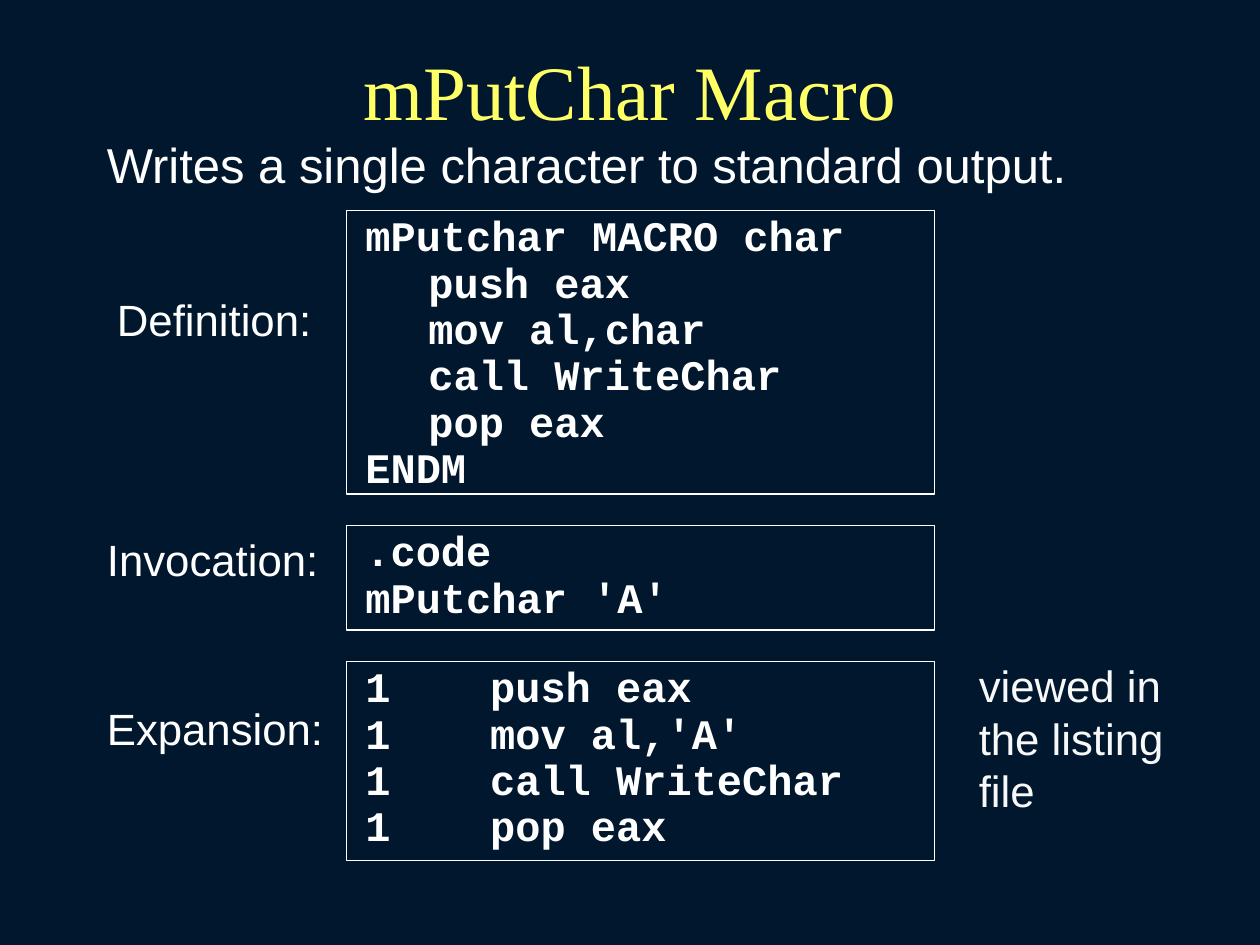
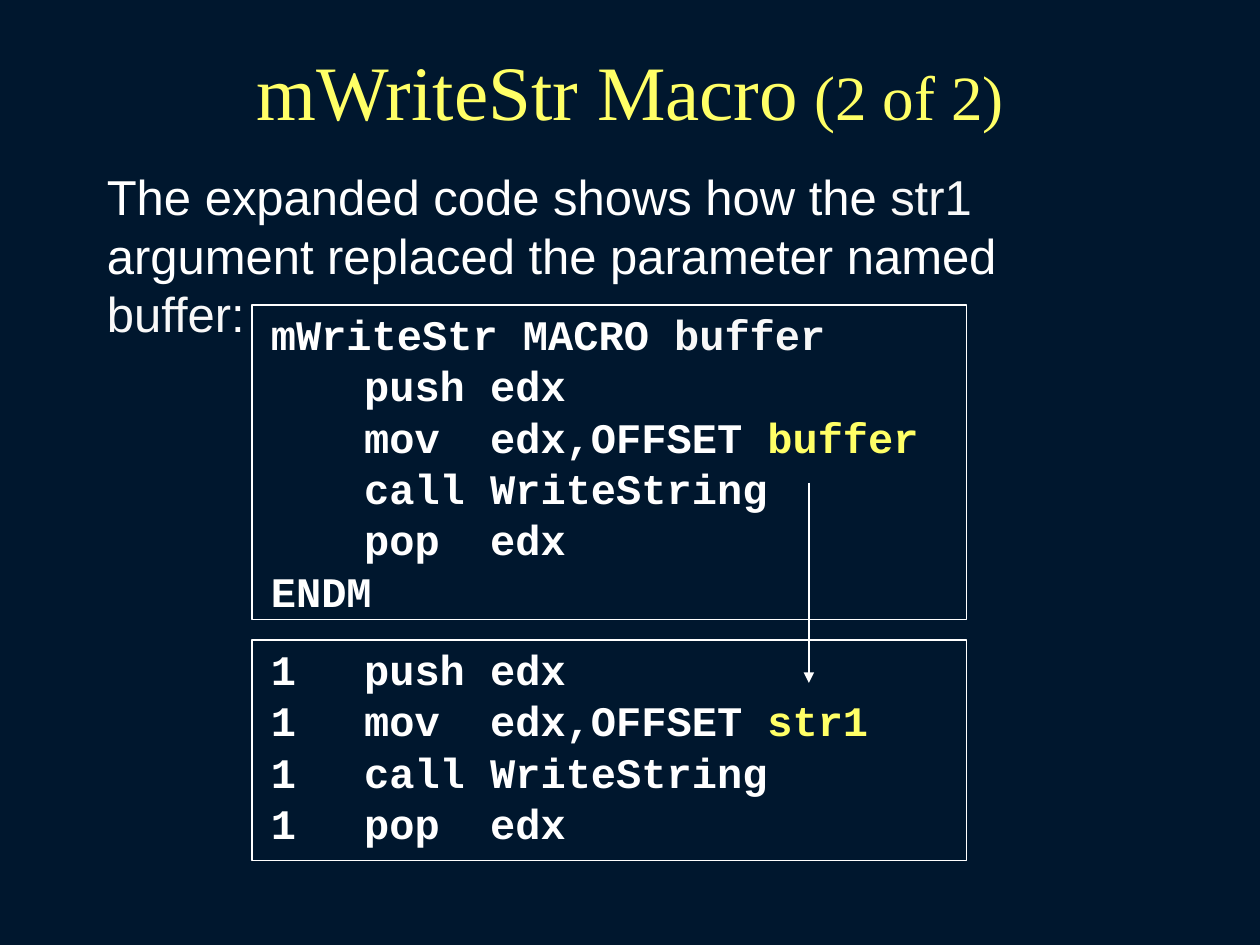
from lxml import etree
from pptx import Presentation
from pptx.dml.color import RGBColor
from pptx.enum.shapes import MSO_CONNECTOR, MSO_SHAPE
from pptx.enum.text import MSO_ANCHOR, PP_ALIGN
from pptx.oxml.ns import qn
from pptx.util import Inches, Pt

NAVY, WHITE, PALE, YELLOW = "00172E", "FFFFFF", "F8F8F8", "FFFF66"


def color(text):
    return RGBColor.from_string(text)


class Deck:
    """Holds the shared style and the slide being filled."""

    def __init__(self):
        self.prs = Presentation()
        self.prs.slide_width, self.prs.slide_height = Inches(10), Inches(7.5)
        self.slide = None

    def start(self, *title):
        self.slide = self.prs.slides.add_slide(self.prs.slide_layouts[6])
        fill = self.slide.background.fill
        fill.solid()
        fill.fore_color.rgb = color(NAVY)
        frame = self.box(0.5, 0.25, 9, 0.92, 0.05)
        frame.vertical_anchor = MSO_ANCHOR.MIDDLE
        para = frame.paragraphs[0]
        para.alignment = PP_ALIGN.CENTER
        self.put(para, title, "Times New Roman", 44, YELLOW)
        return para

    def box(self, x, y, w, h, pad):
        shape = self.slide.shapes.add_textbox(*map(Inches, (x, y, w, h)))
        return self.inset(shape.text_frame, 0.1, pad)

    def inset(self, frame, side, pad):
        frame.word_wrap = True
        frame.margin_left = frame.margin_right = Inches(side)
        frame.margin_top = frame.margin_bottom = Inches(pad)
        return frame

    def put(self, para, parts, face, size, tint, bold=False):
        """Fill a paragraph; a part is a string or a (string, colour) pair."""
        font = para.font
        font.name, font.size, font.bold = face, Pt(size), bold
        font.color.rgb = color(tint)
        for part in parts:
            text, shade = (part, None) if isinstance(part, str) else part
            run = para.add_run()
            run.text = text
            if shade:
                run.font.color.rgb = color(shade)

    def text(self, x, y, w, h, *parts, size=25, tint=WHITE):
        frame = self.box(x, y, w, h, 0.15)
        self.put(frame.paragraphs[0], parts, "Arial", size, tint)

    def code(self, x, y, w, h, lines, tab, pitch):
        """Draw a framed listing; each line is a list of parts."""
        shape = self.slide.shapes.add_shape(
            MSO_SHAPE.RECTANGLE, *map(Inches, (x, y, w, h)))
        shape.shadow.inherit = False
        shape.fill.background()
        shape.line.color.rgb = color(WHITE)
        shape.line.width = Pt(0.75)
        frame = self.inset(shape.text_frame, 0.15, 0.2)
        frame.vertical_anchor = MSO_ANCHOR.TOP
        for i, parts in enumerate(lines):
            para = frame.add_paragraph() if i else frame.paragraphs[0]
            stops = etree.SubElement(para._p.get_or_add_pPr(), qn("a:tabLst"))
            etree.SubElement(stops, qn("a:tab"), pos=str(Inches(tab)), algn="l")
            para.alignment = PP_ALIGN.LEFT
            para.line_spacing = pitch
            para.space_before = Pt(15 if i else 0)
            self.put(para, parts, "Courier New", 24, WHITE, True)

    def arrow(self, x, top, end):
        line = self.slide.shapes.add_connector(
            MSO_CONNECTOR.STRAIGHT, *map(Inches, (x, top, x, end)))
        line.line.color.rgb = color(WHITE)
        line.line.width = Pt(0.75)
        props = line._element.spPr
        etree.SubElement(props.find(qn("a:ln")), qn("a:tailEnd"), type="triangle")
        etree.SubElement(props, qn("a:effectLst"))


def char_slide(deck):
    deck.start("mPutChar Macro")
    deck.text(0.75, 0.92, 8.42, 0.77,
              "Writes a single character to standard output.", size=28)
    define = ["mPutchar MACRO char", "\tpush eax", "\tmov al,char",
              "\tcall WriteChar", "\tpop eax", "ENDM"]
    invoke = [".code", "mPutchar 'A'"]
    expand = ["1\tpush eax", "1\tmov al,'A'", "1\tcall WriteChar", "1\tpop eax"]
    for label, x, y, top, high, lines, tab in (
            ("Definition:", 0.83, 2.17, 1.67, 2.25, define, 0.5),
            ("Invocation:", 0.75, 4.08, 4.17, 0.83, invoke, 0.5),
            ("Expansion:", 0.75, 5.42, 5.25, 1.58, expand, 0.99)):
        deck.code(2.75, top, 4.67, high, [[line] for line in lines], tab, 0.4)
        deck.text(x, y, 2.58, 0.72, label)
    deck.text(7.67, 5.08, 2.17, 1.55, "viewed in the listing file", tint=PALE)


def string_slide(deck):
    title = deck.start("mWriteStr Macro", " (2 of 2)")
    title.runs[1].font.size = Pt(36)
    deck.text(0.75, 1.17, 8.42, 1.7, "The expanded code shows how the ",
              ("str1", PALE), " argument replaced the parameter named ",
              ("buffer", PALE), ":", size=28)

    def body(mark, name):
        return [[mark + "\tpush edx"],
                [mark + "\tmov  edx,OFFSET ", (name, YELLOW)],
                [mark + "\tcall WriteString"],
                [mark + "\tpop  edx"]]

    head = ["mWriteStr MACRO ", ("buffer", PALE)]
    deck.code(2, 2.42, 5.67, 2.5, [head, *body("", "buffer"), ["ENDM"]], 0.74, 0.5)
    deck.code(2, 5.08, 5.67, 1.75, body("1", "str1"), 0.74, 0.5)
    deck.arrow(6.42, 3.83, 5.42)


def main():
    deck = Deck()
    char_slide(deck)
    string_slide(deck)
    deck.prs.save("out.pptx")


if __name__ == "__main__":
    main()
